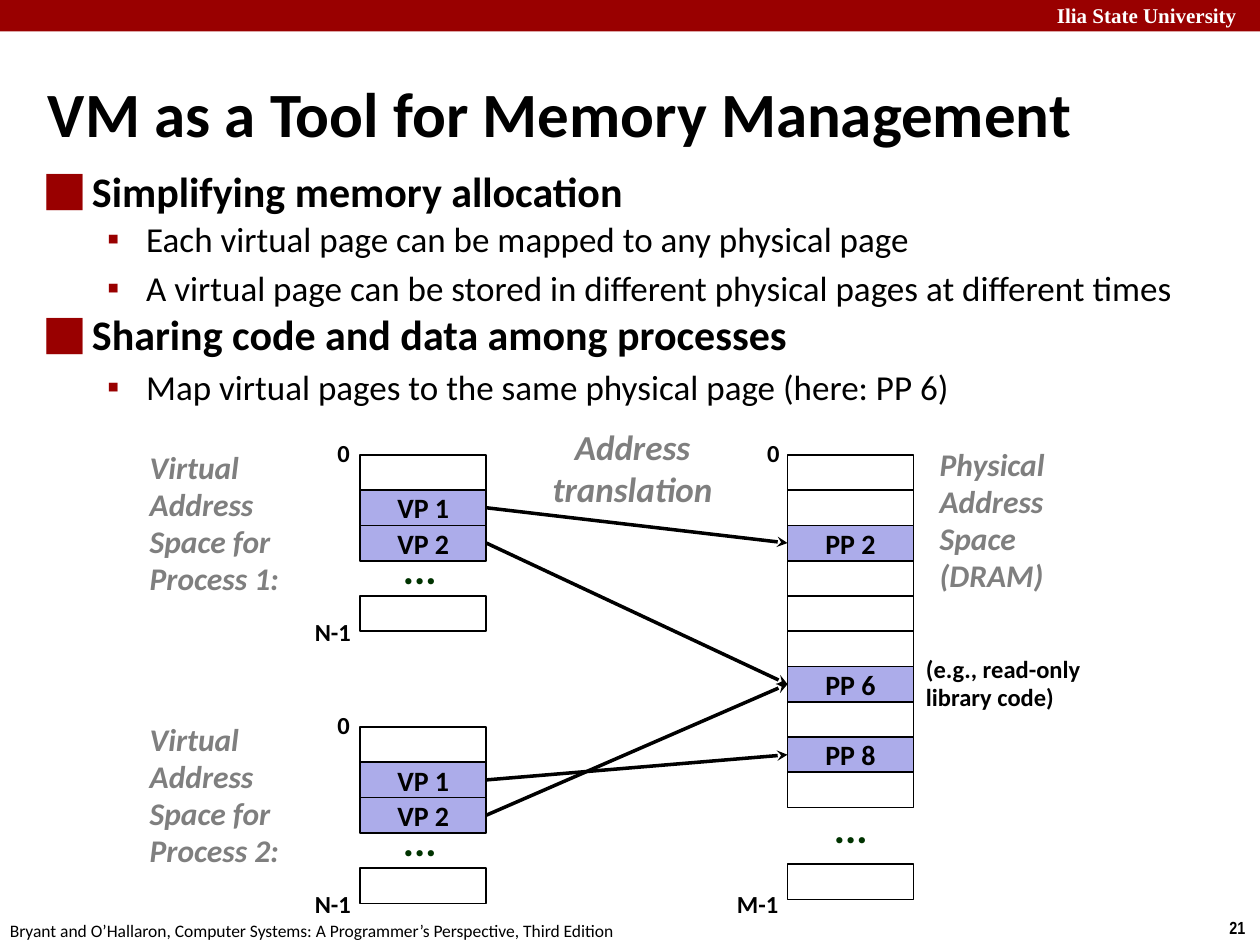
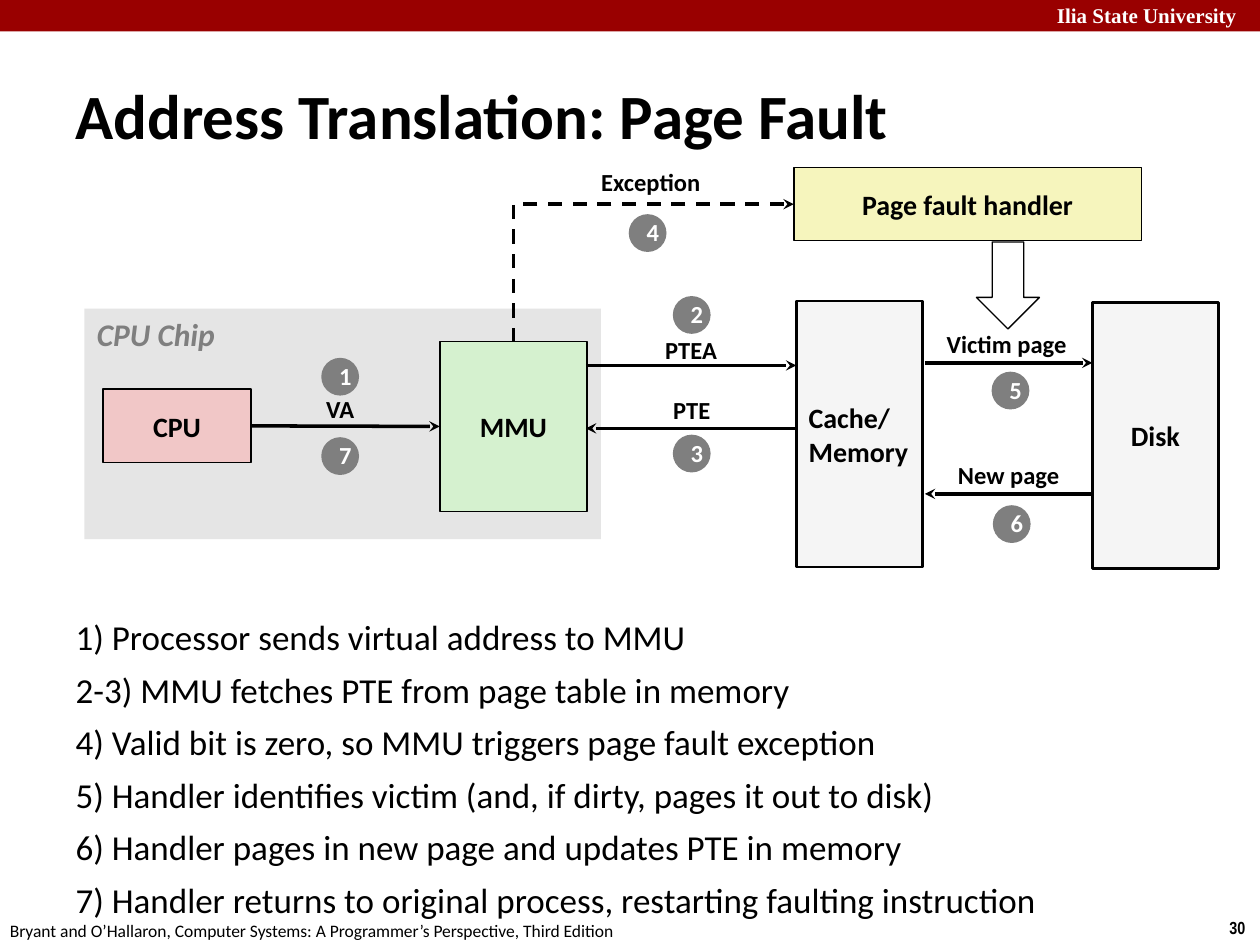
"""Build two lecture slides on virtual memory: memory management and page faults."""
from lxml.etree import SubElement
from pptx import Presentation
from pptx.dml.color import RGBColor
from pptx.enum.dml import MSO_LINE
from pptx.enum.shapes import MSO_CONNECTOR as CONN, MSO_SHAPE as SHAPE
from pptx.enum.text import MSO_ANCHOR as ANCHOR, MSO_AUTO_SIZE as FIT, PP_ALIGN as ALIGN
from pptx.oxml.ns import qn
from pptx.util import Inches, Pt

RED, BLACK, WHITE, GREY = "990000", "000000", "FFFFFF", "7F7F7F"
PAGE, DOTS, CHIP, STORE = "ACACEA", "003300", "E5E5E5", "F5F5F5"
FONT = "Calibri"
rgb = RGBColor.from_string


def draw(s, g, at, text="", size=14, color=BLACK, fill=None, line=None, weight=1, bold=True,
         italic=False, font=FONT, align=ALIGN.LEFT, spacing=0.98, wrap=False):
    """Add a preset shape, or a text box when g is None, and write its lines."""
    box = [Inches(v) for v in at]
    if g is None:
        sp = s.shapes.add_textbox(*box)
        sp.text_frame.word_wrap = wrap
    else:
        sp = s.shapes.add_shape(g, *box)
        sp.shadow.inherit = False
        sp.text_frame.vertical_anchor = ANCHOR.MIDDLE
        if fill:
            sp.fill.solid()
            sp.fill.fore_color.rgb = rgb(fill)
        else:
            sp.fill.background()
        if line:
            sp.line.color.rgb = rgb(line)
            sp.line.width = Pt(weight)
        else:
            sp.line.fill.background()
    tf = sp.text_frame
    for i, words in enumerate(text.split("\n") if text else []):
        p = tf.add_paragraph() if i else tf.paragraphs[0]
        p.alignment, p.line_spacing = align, spacing
        r = p.add_run()
        r.text = words
        r.font.name, r.font.size = font, Pt(size)
        r.font.bold, r.font.italic = bold, italic
        r.font.color.rgb = rgb(color)
    return sp


def link(s, ends, begin=None, end=None, kind=CONN.STRAIGHT, arrow="tailEnd"):
    """Add a 2 pt arrow between two points, joined to (shape, side) where given."""
    c = s.shapes.add_connector(kind, *[Inches(v) for v in ends])
    if begin:
        c.begin_connect(*begin)
    if end:
        c.end_connect(*end)
    c.line.color.rgb = rgb(BLACK)
    c.line.width = Pt(2)
    SubElement(c.line._get_or_add_ln(), qn("a:" + arrow), type="stealth")
    SubElement(c._element.spPr, qn("a:effectLst"))
    return c


prs = Presentation()
prs.slide_width, prs.slide_height = Inches(10), Inches(7.5)

# style: level, size, bold, left margin, indent, line spacing, space before, bullet
STYLES = {
    "head": (0, 24, True, 0.38, -0.38, 0.83, 4.8, "⬛"),
    "tight": (1, 20, False, 0.81, -0.31, 0.88, 4, "▪"),
    "point": (1, 20, False, 0.81, -0.31, 1.0, 4, "▪"),
    "step": (0, 20, False, 0.38, -0.38, 0.73, 12.5, None),
}
CONTENT = [
    ("VM as a Tool for Memory Management", "21", (0.28, 0.58, 9.42, 0.63), (0.25, 1.33, 9.58, 2.08), [
        ("head", "Simplifying memory allocation"),
        ("tight", "Each virtual page can be mapped to any physical page"),
        ("point", "A virtual page can be stored in different physical pages at different times"),
        ("head", "Sharing code and data among processes"),
        ("point", "Map virtual pages to the same physical page (here: PP 6)"),
    ]),
    ("Address Translation: Page Fault", "30", (0.5, 0.48, 9.53, 0.86), (0.5, 4.92, 8.75, 2.25), [
        ("step", "1) Processor sends virtual address to MMU"),
        ("step", "2-3) MMU fetches PTE from page table in memory"),
        ("step", "4) Valid bit is zero, so MMU triggers page fault exception"),
        ("step", "5) Handler identifies victim (and, if dirty, pages it out to disk)"),
        ("step", "6) Handler pages in new page and updates PTE in memory"),
        ("step", "7) Handler returns to original process, restarting faulting instruction"),
    ]),
]

slides = []
for title, number, title_at, body_at, items in CONTENT:
    s = prs.slides.add_slide(prs.slide_layouts[1])
    slides.append(s)
    draw(s, SHAPE.RECTANGLE, (0, 0, 10, 0.25), fill=RED)
    draw(s, None, (8.29, -0.03, 1.78, 0.3), "Ilia State University", 12, WHITE,
         font="Times New Roman", spacing=1.0)
    draw(s, None, (9.66, 7.23, 0.34, 0.27), number, 10, font="Arial Narrow", spacing=1.0)
    draw(s, None, (-0.02, 7.25, 5.08, 0.27),
         "Bryant and O’Hallaron, Computer Systems: A Programmer’s Perspective, Third Edition",
         10, bold=False, spacing=1.0)

    heading, body = s.shapes.title, s.placeholders[1]
    for sp, at in ((heading, title_at), (body, body_at)):
        sp.left, sp.top, sp.width, sp.height = [Inches(v) for v in at]
        sp.text_frame.auto_size = FIT.NONE
    heading.text_frame.vertical_anchor = ANCHOR.MIDDLE
    p = heading.text_frame.paragraphs[0]
    p.alignment = ALIGN.LEFT
    pPr = p._p.get_or_add_pPr()
    pPr.set("marL", str(Inches(0.13)))
    pPr.set("indent", str(Inches(-0.13)))
    r = p.add_run()
    r.text = title
    r.font.name, r.font.size, r.font.bold = FONT, Pt(36), True
    r.font.color.rgb = rgb(BLACK)

    tf = body.text_frame
    for i, (style, words) in enumerate(items):
        level, size, bold, margin, indent, spacing, before, bullet = STYLES[style]
        p = tf.add_paragraph() if i else tf.paragraphs[0]
        p.level, p.line_spacing = level, spacing
        p.space_before = Pt(before if i else 0)
        pPr = p._p.get_or_add_pPr()
        pPr.set("marL", str(Inches(margin)))
        pPr.set("indent", str(Inches(indent)))
        if bullet:
            SubElement(SubElement(pPr, qn("a:buClr")), qn("a:srgbClr"), val=RED)
            SubElement(pPr, qn("a:buChar"), char=bullet)
        else:
            SubElement(pPr, qn("a:buNone"))
        r = p.add_run()
        r.text = words
        r.font.name, r.font.size, r.font.bold = FONT, Pt(size), bold
        r.font.color.rgb = rgb(BLACK)

s = slides[0]
ROW, TOP = 0.28, 3.61
physical, virtual = {}, {}
for row in range(10):
    name = f"PP {row}" if row in (2, 6, 8) else ""
    physical[row] = draw(s, SHAPE.RECTANGLE, (6.25, TOP + row * ROW, 1, ROW), name, 16,
                         fill=PAGE if name else None, line=BLACK, align=ALIGN.CENTER, spacing=1.0)
draw(s, SHAPE.RECTANGLE, (6.25, 6.86, 1, ROW), line=BLACK)
draw(s, None, (6.52, 6.36, 0.47, 0.45), "...", 24, DOTS, spacing=0.88)
draw(s, None, (5.99, 3.44, 0.31, 0.33), "0")
draw(s, None, (5.75, 7.02, 0.53, 0.33), "M-1")
draw(s, None, (7.36, 3.5, 1.17, 1.29), "Physical\nAddress\nSpace (DRAM)", 18, GREY,
     italic=True, wrap=True)
draw(s, None, (7.25, 5.15, 1.59, 0.56), "(e.g., read-only\nlibrary code)")
draw(s, None, (4.28, 3.33, 1.48, 0.77), "Address\ntranslation", 20, GREY, italic=True,
     align=ALIGN.CENTER, spacing=1.0)

for process, top in ((1, TOP), (2, 5.77)):
    for row in (0, 1, 2, 4):
        name = f"VP {row}" if row in (1, 2) else ""
        virtual[process, row] = draw(s, SHAPE.RECTANGLE, (2.86, top + row * ROW, 1, ROW), name, 16,
                                     fill=PAGE if name else None, line=BLACK,
                                     align=ALIGN.CENTER, spacing=1.0)
    draw(s, None, (3.1, top + 0.7, 0.47, 0.45), "...", 24, DOTS, spacing=0.88)
    draw(s, None, (2.58, top - 0.17, 0.31, 0.33), "0")
    draw(s, None, (2.4, top + 1.25, 0.49, 0.33), "N-1")
    draw(s, None, (1.09, top - 0.09, 1.5, 1.28), f"Virtual Address Space for Process {process}:",
         18, GREY, italic=True, wrap=True)

for page, frame in (((1, 1), 2), ((1, 2), 6), ((2, 2), 6), ((2, 1), 8)):
    link(s, (3.86, TOP, 6.25, TOP), (virtual[page], 3), (physical[frame], 1))

s = slides[1]
draw(s, SHAPE.RECTANGLE, (0.67, 2.45, 4.1, 1.83), fill=CHIP)
draw(s, None, (0.67, 2.45, 1.16, 0.4), "CPU Chip", 18, GREY, italic=True, spacing=1.0)
blocks = {}
for name, at, fill, weight, align in (
        ("CPU", (0.82, 3.09, 1.17, 0.58), "F1C7C7", 1, ALIGN.CENTER),
        ("MMU", (3.49, 2.71, 1.17, 1.35), "D5F1CF", 1, ALIGN.CENTER),
        ("Cache/\nMemory", (6.32, 2.39, 1, 2.11), STORE, 1.5, ALIGN.LEFT),
        ("Disk", (8.67, 2.4, 1, 2.11), STORE, 1.5, ALIGN.CENTER),
        ("Page fault handler", (6.3, 1.33, 2.76, 0.58), "F6F5BD", 1, ALIGN.CENTER)):
    blocks[name] = draw(s, SHAPE.RECTANGLE, at, name, 16, fill=fill, line=BLACK, weight=weight,
                        align=align, spacing=1.0)
draw(s, SHAPE.DOWN_ARROW, (7.75, 1.92, 0.5, 0.69), line=BLACK, weight=0.75)

link(s, (1.99, 3.38, 3.49, 3.38), (blocks["CPU"], 3), (blocks["MMU"], 1))
for ends in ((4.65, 2.9, 6.32, 2.9), (6.32, 3.4, 4.65, 3.4),
             (7.34, 2.88, 8.67, 2.88), (8.67, 3.92, 7.34, 3.92)):
    link(s, ends)
exception = link(s, (6.3, 1.62, 4.07, 2.71), (blocks["Page fault handler"], 1),
                 (blocks["MMU"], 0), CONN.ELBOW, "headEnd")
exception.line.dash_style = MSO_LINE.DASH
exception._element.spPr.find(qn("a:prstGeom")).set("prst", "bentConnector2")

for name, left, top, width in (("VA", 2.49, 3.09, 0.42), ("PTEA", 5.18, 2.62, 0.61),
                               ("PTE", 5.24, 3.1, 0.5), ("Victim page", 7.41, 2.57, 1.16),
                               ("New page", 7.5, 3.61, 1.01), ("Exception", 4.67, 1.29, 0.99)):
    draw(s, None, (left, top, width, 0.33), name, align=ALIGN.CENTER)

STEPS = ((2.55, 2.84), (5.34, 2.35), (5.34, 3.45), (4.99, 1.7), (7.87, 2.95), (7.88, 4.01),
         (2.55, 3.47))
for step, (left, top) in enumerate(STEPS, 1):
    draw(s, SHAPE.OVAL, (left, top, 0.3, 0.3), str(step), color=WHITE, fill=GREY,
         align=ALIGN.CENTER)

prs.save("out.pptx")
